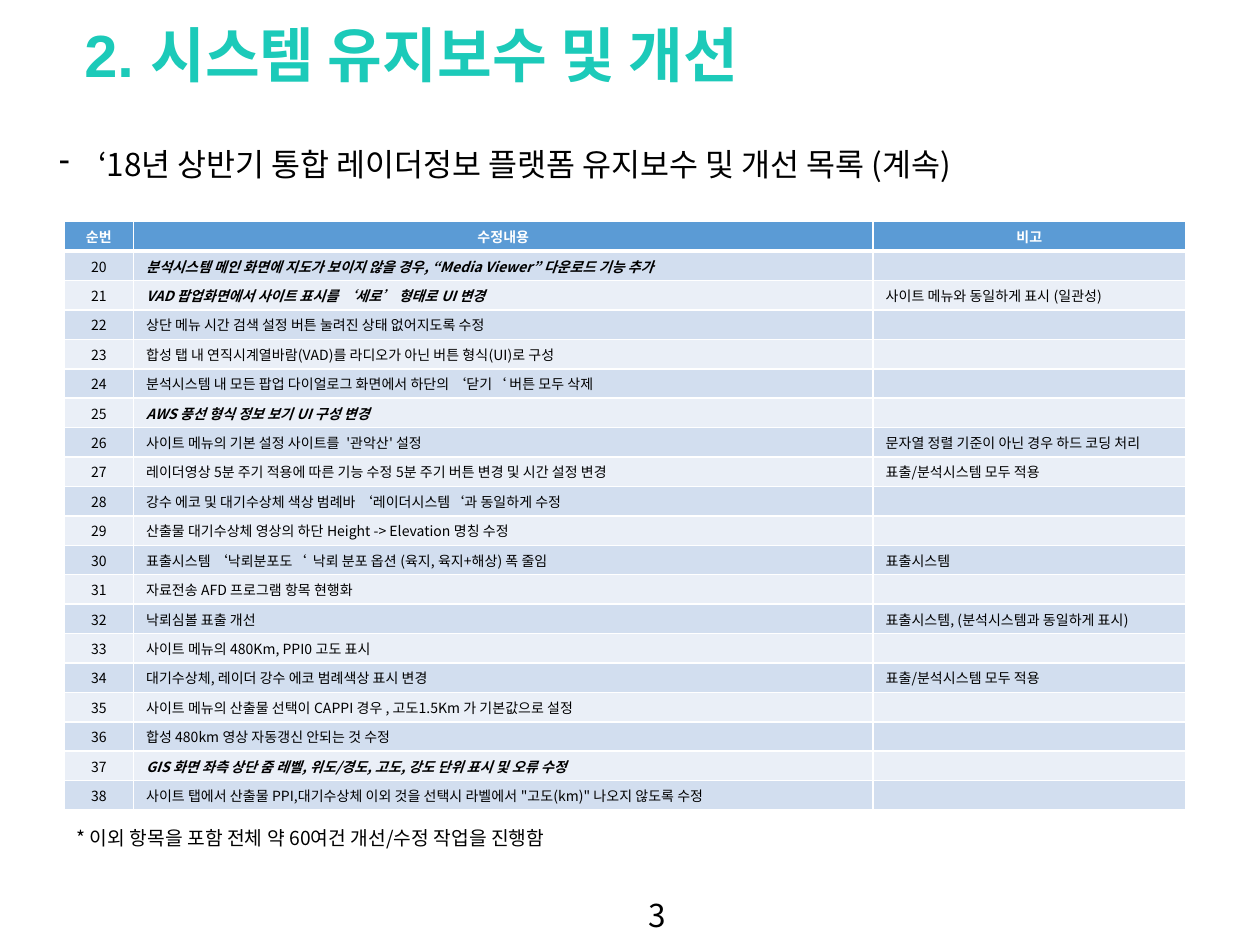
from lxml import etree
from pptx import Presentation
from pptx.dml.color import RGBColor
from pptx.enum.text import MSO_ANCHOR, MSO_AUTO_SIZE, PP_ALIGN
from pptx.oxml.ns import qn
from pptx.util import Inches, Pt

LEFT, CENTER = PP_ALIGN.LEFT, PP_ALIGN.CENTER
MIDDLE = MSO_ANCHOR.MIDDLE
NO_FIT = MSO_AUTO_SIZE.NONE
TITLE_ONLY = 5

TEAL = RGBColor(0x1C, 0xCA, 0xB9)
BLACK = RGBColor(0, 0, 0)
WHITE = RGBColor(0xFF, 0xFF, 0xFF)
HEADER_BLUE = RGBColor(0x5B, 0x9B, 0xD5)
BANDS = (RGBColor(0xD2, 0xDE, 0xEF), RGBColor(0xEA, 0xEF, 0xF7))

BODY_FONT = "Noto Sans CJK KR"
COLUMN_WIDTHS = (0.55, 5.87, 2.48)
TABLE_HEIGHT = 4.67
FIRST_NUMBER = 20
HEADERS = ("순번", "수정내용", "비고")
CHANGES = [
    "분석시스템 메인 화면에 지도가 보이지 않을 경우, “Media Viewer” 다운로드 기능 추가",
    "VAD 팝업화면에서 사이트 표시를 ‘세로’ 형태로 UI 변경",
    "상단 메뉴 시간 검색 설정 버튼 눌려진 상태 없어지도록 수정",
    "합성 탭 내 연직시계열바람(VAD)를 라디오가 아닌 버튼 형식(UI)로 구성",
    "분석시스템 내 모든 팝업 다이얼로그 화면에서 하단의 ‘닫기‘ 버튼 모두 삭제",
    "AWS 풍선 형식 정보 보기 UI 구성 변경",
    "사이트 메뉴의 기본 설정 사이트를  '관악산' 설정",
    "레이더영상 5분 주기 적용에 따른 기능 수정 5분 주기 버튼 변경 및 시간 설정 변경",
    "강수 에코 및 대기수상체 색상 범례바 ‘레이더시스템‘과 동일하게 수정",
    "산출물 대기수상체 영상의 하단 Height -> Elevation 명칭 수정",
    "표출시스템 ‘낙뢰분포도‘  낙뢰 분포 옵션 (육지, 육지+해상) 폭 줄임",
    "자료전송 AFD 프로그램 항목 현행화",
    "낙뢰심볼 표출 개선",
    "사이트 메뉴의 480Km, PPI0 고도 표시",
    "대기수상체, 레이더 강수 에코 범례색상 표시 변경",
    "사이트 메뉴의 산출물 선택이 CAPPI 경우 , 고도1.5Km 가 기본값으로 설정",
    "합성 480km 영상 자동갱신 안되는 것 수정",
    "GIS 화면 좌측 상단 줌 레벨, 위도/경도, 고도, 강도 단위 표시 및 오류 수정",
    "사이트 탭에서 산출물 PPI,대기수상체 이외 것을 선택시 라벨에서 \"고도(km)\" 나오지 않도록 수정",
]
NOTES = {
    21: "사이트 메뉴와 동일하게 표시 (일관성)",
    26: "문자열 정렬 기준이 아닌 경우 하드 코딩 처리",
    27: "표출/분석시스템 모두 적용",
    30: "표출시스템",
    32: "표출시스템, (분석시스템과 동일하게 표시)",
    34: "표출/분석시스템 모두 적용",
}
EMPHASIZED = {20, 21, 25, 37}


def set_text(tf, text, size, color, font=BODY_FONT, bold=False, italic=False,
             align=LEFT):
    tf.text = text
    p = tf.paragraphs[0]
    p.alignment = align
    # Empty cells keep the small size too, so that their rows stay low.
    p.font.size = Pt(size)
    for r in p.runs:
        r.font.name = font
        r.font.size = Pt(size)
        r.font.bold = bold
        r.font.italic = italic
        r.font.color.rgb = color
        if font == BODY_FONT:
            ea = etree.SubElement(r.font._element, qn("a:ea"))
            ea.set("typeface", font)


def add_title(s, text):
    sp = s.shapes.title
    sp.left, sp.top = Inches(0.57), Inches(-0.01)
    sp.width, sp.height = Inches(8.44), Inches(0.88)
    tf = sp.text_frame
    tf.auto_size = NO_FIT
    tf.vertical_anchor = MIDDLE
    set_text(tf, text, 34, TEAL, "Arial", bold=True)


def add_text(s, text, left, top, width, height, size):
    sp = s.shapes.add_textbox(Inches(left), Inches(top), Inches(width), Inches(height))
    tf = sp.text_frame
    tf.word_wrap = True
    set_text(tf, text, size, BLACK)
    return tf.paragraphs[0]


def add_dash(p, indent):
    pPr = p._p.get_or_add_pPr()
    pPr.set("marL", str(Inches(indent)))
    pPr.set("indent", str(-Inches(indent)))
    bullet = etree.Element(qn("a:buChar"))
    bullet.set("char", "-")
    # The bullet has to stand before the paragraph's default run settings.
    pPr.insert(0, bullet)


def set_borders(cell, top, bottom):
    """Draw white borders; top and bottom are widths in points."""
    tcPr = cell._tc.get_or_add_tcPr()
    for side, width in (("L", 1), ("R", 1), ("T", top), ("B", bottom)):
        ln = etree.SubElement(tcPr, qn(f"a:ln{side}"))
        ln.set("w", str(Pt(width)))
        fill = etree.SubElement(ln, qn("a:solidFill"))
        etree.SubElement(fill, qn("a:srgbClr")).set("val", str(WHITE))


def fill_row(table, row, texts, fill, color, bolds, italics, aligns):
    for col, text in enumerate(texts):
        cell = table.cell(row, col)
        cell.margin_top = cell.margin_bottom = Inches(0.03)
        cell.vertical_anchor = MIDDLE
        set_borders(cell, 3 if row == 1 else 1, 3 if row == 0 else 1)
        cell.fill.solid()
        cell.fill.fore_color.rgb = fill
        set_text(cell.text_frame, text, 8, color, bold=bolds[col],
                 italic=italics[col], align=aligns[col])


def add_change_table(s):
    row_count = len(CHANGES) + 1
    table = s.shapes.add_table(row_count, len(HEADERS), Inches(0.51), Inches(1.76),
                               Inches(sum(COLUMN_WIDTHS)), Inches(TABLE_HEIGHT)).table
    for column, width in zip(table.columns, COLUMN_WIDTHS):
        column.width = Inches(width)
    for row in table.rows:
        row.height = Inches(TABLE_HEIGHT / row_count)

    fill_row(table, 0, HEADERS, HEADER_BLUE, WHITE,
             (True,) * 3, (False,) * 3, (CENTER,) * 3)
    for i, change in enumerate(CHANGES):
        number = FIRST_NUMBER + i
        emphasis = (False, number in EMPHASIZED, False)
        fill_row(table, i + 1, (str(number), change, NOTES.get(number, "")),
                 BANDS[i % 2], BLACK, emphasis, emphasis, (CENTER, LEFT, LEFT))


def main():
    prs = Presentation()
    prs.slide_width, prs.slide_height = Inches(10), Inches(7.5)
    s = prs.slides.add_slide(prs.slide_layouts[TITLE_ONLY])
    add_title(s, "2. 시스템 유지보수 및 개선")
    subtitle = add_text(s, "‘18년 상반기 통합 레이더정보 플랫폼 유지보수 및 개선 목록 (계속)",
                        0.37, 1.1, 8.05, 0.4, 18)
    add_dash(subtitle, 0.31)
    add_change_table(s)
    add_text(s, "* 이외 항목을 포함 전체 약 60여건 개선/수정 작업을 진행함",
             0.51, 6.51, 4.38, 0.29, 11)
    add_text(s, "3", 5.05, 7.06, 0.34, 0.4, 18)
    prs.save("out.pptx")


if __name__ == "__main__":
    main()
